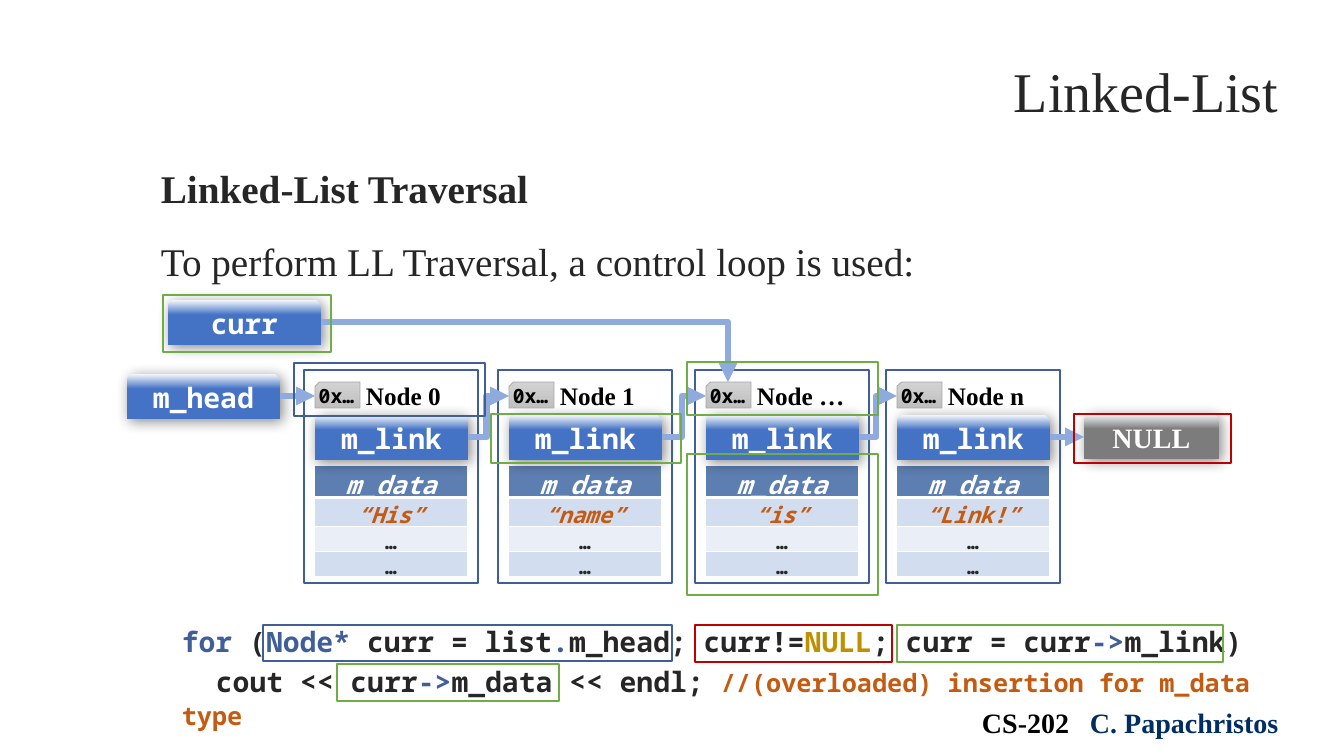
"""Builds the slide on linked-list traversal."""
from lxml.etree import SubElement
from pptx import Presentation
from pptx.dml.color import RGBColor
from pptx.enum.shapes import MSO_CONNECTOR, MSO_SHAPE
from pptx.enum.text import MSO_ANCHOR, PP_ALIGN
from pptx.oxml.ns import qn
from pptx.util import Emu, Pt

SERIF, MONO = "Times New Roman", "Noto Sans Mono"
INK, BLACK, WHITE = RGBColor(0x26, 0x26, 0x26), RGBColor(0, 0, 0), RGBColor(255, 255, 255)
NAVY, DEEP_NAVY = RGBColor(0x40, 0x5F, 0x98), RGBColor(0x00, 0x2E, 0x62)
GOLD, ORANGE = RGBColor(0xBF, 0x90, 0x00), RGBColor(0xC5, 0x5A, 0x11)
GREEN, RED = RGBColor(0x70, 0xAD, 0x47), RGBColor(0xC0, 0, 0)
BLUE, GREY, SHINE = RGBColor(0x44, 0x72, 0xC4), RGBColor(0x7C, 0x7C, 0x7C), RGBColor(0xF7, 0xFA, 0xFD)
TAG_TOP, TAG_BOTTOM, TAG_EDGE = RGBColor(0xD2, 0xD2, 0xD2), RGBColor(0xC0, 0xC0, 0xC0), RGBColor(0xA5, 0xA5, 0xA5)
ARROW, HEADER = RGBColor(0x8F, 0xAA, 0xDC), RGBColor(0x5C, 0x7E, 0xB0)
BAND_DARK, BAND_LIGHT = RGBColor(0xD2, 0xDE, 0xEF), RGBColor(0xEA, 0xEF, 0xF7)

TITLE = [[("Linked-List", INK)]]
HEADING = [("Linked-List Traversal", INK, {"bold": True})]
INTRO = [("To perform LL Traversal, a control loop is used:", INK)]
FOOTER = [[("CS-202\t", BLACK), ("C. Papachristos", DEEP_NAVY)]]
CODE = [
    [("for ", NAVY), ("(", INK), ("Node* ", NAVY), ("curr = list", INK), (".", NAVY),
     ("m_head; curr!=", INK), ("NULL", GOLD), ("; curr = curr", INK), ("->", NAVY), ("m_link)", INK)],
    [("cout << curr", INK), ("->", NAVY), ("m_data << endl; ", INK),
     ("//(overloaded) insertion for m_data type", ORANGE, {"size": Pt(18)}), (" ", INK)],
]
NODES = [(304, "Node 0", "“His”"), (498, "Node 1", "“name”"),
         (695, "Node …", "“is”"), (886, "Node n", "“Link!”")]
POINTERS = [("m_head", (127, 374, 153, 45), BLUE, MONO), ("curr", (168, 300, 153, 45), BLUE, MONO),
            ("NULL", (1084, 414, 135, 45), GREY, SERIF)]
DATA_ROWS = [(27, HEADER, WHITE, 18, True), (24, BAND_DARK, ORANGE, 16, True),
             (21, BAND_LIGHT, INK, 14, False), (21, BAND_DARK, INK, 14, False)]
HIGHLIGHTS = [
    (GREEN, [(491, 414, 190, 49), (163, 295, 168, 57), (897, 625, 326, 37),
             (687, 362, 191, 53), (687, 454, 191, 141), (337, 664, 222, 37)]),
    (RED, [(695, 625, 197, 37), (1074, 414, 157, 49)]),
    (NAVY, [(294, 363, 191, 53), (263, 625, 409, 36)]),
]
INSET, LINK_WIDTH, LINK_MIDDLE, TAG_MIDDLE = 11, 153, 437, 396


def px(*lengths):
    return [Emu(round(length * 914400 / 100.8)) for length in lengths]


def apply(target, values):
    for key, value in values.items():
        setattr(target, key, value)


def write(frame, paragraphs, font, size, bold=True, align=PP_ALIGN.LEFT, **layout):
    for index, runs in enumerate(paragraphs):
        paragraph = frame.paragraphs[0] if index == 0 else frame.add_paragraph()
        apply(paragraph, {"alignment": align, **layout})
        for words, colour, *special in runs:
            run = paragraph.add_run()
            run.text = words
            run.font.color.rgb = colour
            apply(run.font, {"name": font, "size": Pt(size), "bold": bold, **(special[0] if special else {})})


def add_text(box, paragraphs, font, size, anchor=MSO_ANCHOR.TOP, **layout):
    frame = slide.shapes.add_textbox(*px(*box)).text_frame
    apply(frame, {"word_wrap": True, "vertical_anchor": anchor})
    write(frame, paragraphs, font, size, **layout)
    return frame


def add_outline(box, colour):
    outline = slide.shapes.add_shape(MSO_SHAPE.RECTANGLE, *px(*box))
    outline.shadow.inherit = False
    outline.fill.background()
    outline.line.color.rgb = colour
    outline.line.width = Pt(1.5)


def add_gradient(kind, box, top, bottom, end):
    shape = slide.shapes.add_shape(kind, *px(*box))
    shape.shadow.inherit = False
    shape.fill.gradient()
    shape.fill.gradient_angle = 270
    for stop, colour, position in zip(shape.fill.gradient_stops, (top, bottom), (0, end)):
        stop.color.rgb = colour
        stop.position = position
    return shape


def add_pointer(label, box, colour, font):
    pointer = add_gradient(MSO_SHAPE.ROUND_2_SAME_RECTANGLE, box, SHINE, colour, 0.33)
    pointer.line.fill.background()
    effects = pointer.element.spPr.find(qn("a:effectLst"))
    shadow = SubElement(effects, qn("a:outerShdw"), blurRad="127000", dist="38100", dir="2700000", algn="tl")
    SubElement(SubElement(shadow, qn("a:srgbClr"), val="000000"), qn("a:alpha"), val="45000")
    pointer.text_frame.vertical_anchor = MSO_ANCHOR.MIDDLE
    write(pointer.text_frame, [[(label, WHITE)]], font, 20, align=PP_ALIGN.CENTER)


def add_arrow(start, end, preset="bentConnector3", bend=None):
    arrow = slide.shapes.add_connector(MSO_CONNECTOR.ELBOW, *px(*start, *end))
    arrow.line.color.rgb = ARROW
    arrow.line.width = Pt(4.5)
    properties = arrow.element.spPr
    SubElement(properties.find(qn("a:ln")), qn("a:tailEnd"), type="triangle")
    SubElement(properties, qn("a:effectLst"))
    geometry = properties.find(qn("a:prstGeom"))
    geometry.set("prst", preset)
    if bend:
        SubElement(geometry.find(qn("a:avLst")), qn("a:gd"), name="adj1", fmla=f"val {bend}")


def add_data(left, word):
    data = slide.shapes.add_table(4, 1, *px(left, 465, 154, 112)).table
    data.columns[0].width = px(154)[0]
    entries = zip(("m_data", word, "…", "…"), DATA_ROWS)
    for index, (entry, (height, fill, colour, size, italic)) in enumerate(entries):
        data.rows[index].height = px(height)[0]
        cell = data.cell(index, 0)
        side, none = px(7, 0)
        apply(cell, {"margin_left": side, "margin_right": side, "margin_top": none,
                     "margin_bottom": none, "vertical_anchor": MSO_ANCHOR.MIDDLE})
        thick = {(0, "B"): 3, (1, "T"): 3}
        for edge in "LRTB":
            width = Pt(thick.get((index, edge), 1))
            border = SubElement(cell._tc.get_or_add_tcPr(), qn(f"a:ln{edge}"), w=str(width))
            SubElement(SubElement(border, qn("a:solidFill")), qn("a:srgbClr"), val=str(WHITE))
        cell.fill.solid()
        cell.fill.fore_color.rgb = fill
        write(cell.text_frame, [[(entry, colour, {"italic": italic})]], MONO, size,
              align=PP_ALIGN.CENTER, line_spacing=1.07)


def add_node(left, label, word):
    inner = left + INSET
    add_data(inner - 1, word)
    add_pointer("m_link", (inner, 415, LINK_WIDTH, 45), BLUE, MONO)
    tag = add_gradient(MSO_SHAPE.SNIP_1_RECTANGLE, (inner, 382, 45, 26), TAG_TOP, TAG_BOTTOM, 1)
    tag.element.spPr.find(qn("a:xfrm")).set("flipH", "1")
    tag.line.color.rgb = TAG_EDGE
    tag.line.width = Pt(0.5)
    add_outline((left, 370, 174, 213), NAVY)
    address = add_text((left + 5, 379, 55, 34), [[("0x…", BLACK)]], MONO, 14, align=PP_ALIGN.CENTER)
    apply(address, {"margin_left": 0, "margin_right": 0})
    add_text((left + 52, 375, 113, 40), [[(label, BLACK)]], SERIF, 18)


deck = Presentation()
deck.slide_width, deck.slide_height = px(1344, 756)
slide = deck.slides.add_slide(deck.slide_layouts[6])

code = add_text((172, 620, 1160, 85), CODE, MONO, 20, space_after=Pt(4))
code.paragraphs[1]._p.get_or_add_pPr().set("indent", str(px(34)[0]))
add_text((107, 57, 1181, 72), TITLE, SERIF, 40, bold=False, anchor=MSO_ANCHOR.BOTTOM, align=PP_ALIGN.RIGHT)
footer = add_text((957, 701, 347, 44), FOOTER, SERIF, 20)
footer.margin_left = px(25)[0]
tabs = SubElement(footer.paragraphs[0]._p.get_or_add_pPr(), qn("a:tabLst"))
SubElement(tabs, qn("a:tab"), pos=str(px(108)[0]), algn="l")
add_text((151, 159, 1060, 528), [HEADING, INTRO], SERIF, 28, bold=False, space_after=Pt(19))

for pointer in POINTERS:
    add_pointer(*pointer)
for node in NODES:
    add_node(*node)

tag_lefts = [left + INSET for left, _, _ in NODES]
add_arrow((280, TAG_MIDDLE), (tag_lefts[0], TAG_MIDDLE))
for here, following in zip(tag_lefts, tag_lefts[1:]):
    add_arrow((here + LINK_WIDTH, LINK_MIDDLE), (following, TAG_MIDDLE), bend=45000)
add_arrow((tag_lefts[-1] + LINK_WIDTH, LINK_MIDDLE), (1084, LINK_MIDDLE))
add_arrow((321, 322), (tag_lefts[2] + 22, 382), preset="bentConnector2")

for colour, boxes in HIGHLIGHTS:
    for box in boxes:
        add_outline(box, colour)

deck.save("out.pptx")
